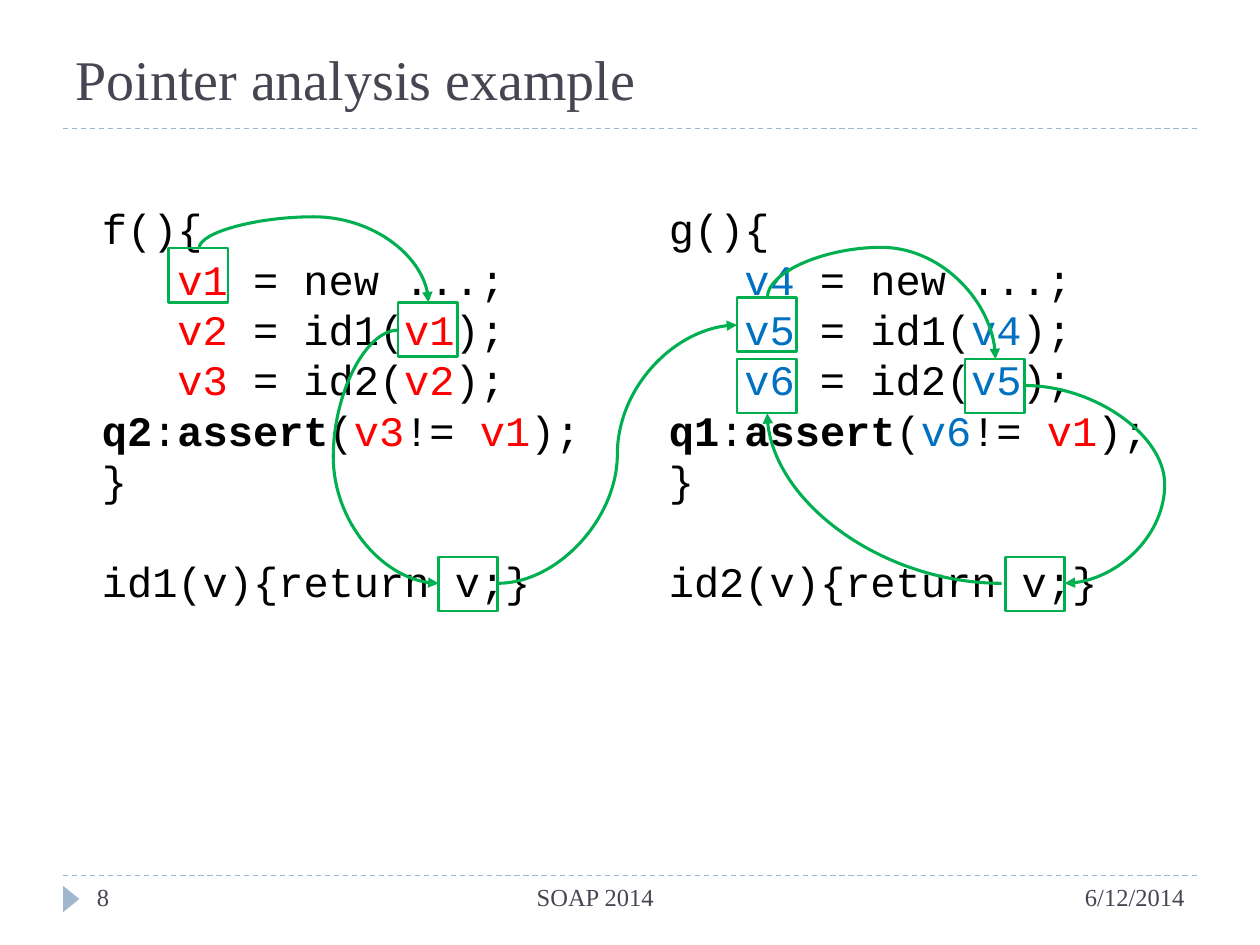
"""Build the pointer analysis slide with its code and flow arrows."""
from dataclasses import dataclass

from lxml.etree import SubElement as Sub
from pptx import Presentation
from pptx.dml.color import RGBColor as Rgb
from pptx.enum.dml import MSO_LINE_DASH_STYLE as Dash
from pptx.enum.shapes import MSO_CONNECTOR as Link, MSO_SHAPE as Form
from pptx.enum.text import MSO_ANCHOR as Anchor, PP_ALIGN as Align
from pptx.oxml.ns import qn
from pptx.util import Inches, Pt


@dataclass(frozen=True)
class Theme:
    ink: str = "464653"
    rule: str = "9FB8CD"
    black: str = "000000"
    red: str = "FF0000"
    blue: str = "0070C0"
    green: str = "00B050"
    serif: str = "Times New Roman"
    mono: str = "Courier New"
    head: float = 32
    code: float = 24
    foot: float = 14
    pitch: float = 28.8


T = Theme()
BOX = (0.47, 0.43)


def add_run(para, text, font, size, tone, bold=False):
    run = para.add_run()
    run.text = text
    run.font.name, run.font.size, run.font.bold = font, Pt(size), bold
    run.font.color.rgb = Rgb.from_string(tone)


def add_frame(slide, area, anchor=Anchor.TOP):
    frame = slide.shapes.add_textbox(*map(Inches, area)).text_frame
    frame.word_wrap = True
    frame.vertical_anchor = anchor
    return frame


def add_label(slide, area, text, size, align=Align.LEFT, anchor=Anchor.TOP):
    para = add_frame(slide, area, anchor).paragraphs[0]
    para.alignment = align
    add_run(para, text, T.serif, size, T.ink)


def add_code(slide, area, name, query, helper, names, tone):
    one, two, three = names
    lines = [
        [(f"{name}(){{", T.black)],
        [(f"{one} ", tone), ("= new ...;", T.black)],
        [(f"{two} ", tone), ("= id1(", T.black), (one, tone), (");", T.black)],
        [(f"{three} ", tone), ("= id2(", T.black), (two, tone), (");", T.black)],
        [(query, T.black, True), (":", T.black), ("assert", T.black, True),
         ("(", T.black), (three, tone), ("!= ", T.black), ("v1", T.red),
         (");", T.black)],
        [("}", T.black)],
        [(f"{helper}(v){{return v;}}", T.black)],
    ]
    frame = add_frame(slide, area)
    for row, parts in enumerate(lines):
        para = frame.paragraphs[0] if row == 0 else frame.add_paragraph()
        para.line_spacing = Pt(T.pitch)
        if 1 <= row <= 3:
            para._p.get_or_add_pPr().set("marL", str(Inches(0.6)))
        if row == len(lines) - 1:
            para.space_before = Pt(T.pitch)
        for text, *style in parts:
            add_run(para, text, T.mono, T.code, *style)


def add_box(slide, left, top):
    box = slide.shapes.add_shape(Form.RECTANGLE, *map(Inches, (left, top, *BOX)))
    box.shadow.inherit = False
    box.fill.background()
    box.line.color.rgb = Rgb.from_string(T.green)
    box.line.width = Pt(1.5)


def add_line(slide, kind, start, end, tone, width):
    line = slide.shapes.add_connector(kind, *map(Inches, (*start, *end)))
    line.line.color.rgb = Rgb.from_string(tone)
    line.line.width = Pt(width)
    Sub(line._element.spPr, qn("a:effectLst"))
    return line


def add_rule(slide, top):
    line = add_line(slide, Link.STRAIGHT, (0.5, top), (9.5, top), T.rule, 0.75)
    line.line.dash_style = Dash.DASH


def add_curve(slide, start, end, bend=None, upright=False, preset="curvedConnector3"):
    if upright:
        mid_x, mid_y = ((a + b) / 2 for a, b in zip(start, end))
        start, end = ((mid_x - y + mid_y, mid_y + x - mid_x) for x, y in (start, end))
    curve = add_line(slide, Link.CURVE, start, end, T.green, 1.75)
    props = curve._element.spPr
    if upright:
        props.find(qn("a:xfrm")).set("rot", str(270 * 60000))
    shape = props.find(qn("a:prstGeom"))
    shape.set("prst", preset)
    if bend is not None:
        guide = Sub(shape.find(qn("a:avLst")), qn("a:gd"))
        guide.set("name", "adj1")
        guide.set("fmla", f"val {round(bend * 100000)}")
    Sub(props.find(qn("a:ln")), qn("a:tailEnd")).set("type", "triangle")


def add_mark(slide):
    mark = slide.shapes.add_shape(
        Form.ISOSCELES_TRIANGLE, *map(Inches, (0.46, 7.07, 0.21, 0.13)))
    mark.rotation = 90
    mark.shadow.inherit = False
    mark.fill.solid()
    mark.fill.fore_color.rgb = Rgb.from_string(T.rule)
    mark.line.fill.background()


def main():
    deck = Presentation()
    deck.slide_width, deck.slide_height = Inches(10), Inches(7.5)
    slide = deck.slides.add_slide(deck.slide_layouts[6])
    for top in (6.95, 1.02):
        add_rule(slide, top)
    add_mark(slide)
    add_label(slide, (0.5, 0.17, 9, 0.77), "Pointer analysis example", T.head,
              anchor=Anchor.BOTTOM)
    add_code(slide, (0.71, 1.56, 4.15, 3.33), "f", "q2", "id1",
             ("v1", "v2", "v3"), T.red)
    add_code(slide, (5.21, 1.56, 4.03, 3.33), "g", "q1", "id2",
             ("v4", "v5", "v6"), T.blue)
    for spot in ((1.34, 1.97), (3.16, 2.4), (3.48, 4.42), (5.85, 2.36),
                 (7.66, 2.85), (7.98, 4.42), (5.85, 2.85)):
        add_box(slide, *spot)
    add_curve(slide, (1.58, 1.97), (3.4, 2.4), -0.58, upright=True)
    add_curve(slide, (3.16, 2.62), (3.48, 4.63), -1.61)
    add_curve(slide, (3.95, 4.63), (5.85, 2.58))
    add_curve(slide, (6.09, 2.36), (7.9, 2.85), -0.81, upright=True)
    add_curve(slide, (7.95, 4.63), (6.09, 3.28), preset="curvedConnector2")
    add_curve(slide, (8.13, 3.06), (8.45, 4.63), 3.48)
    add_label(slide, (7, 6.95, 2.5, 0.4), "6/12/2014", T.foot, Align.RIGHT)
    add_label(slide, (0.67, 6.95, 0.89, 0.4), "8", T.foot)
    add_label(slide, (1.56, 6.95, 6.33, 0.4), "SOAP 2014", T.foot, Align.CENTER)
    deck.save("out.pptx")


if __name__ == "__main__":
    main()
